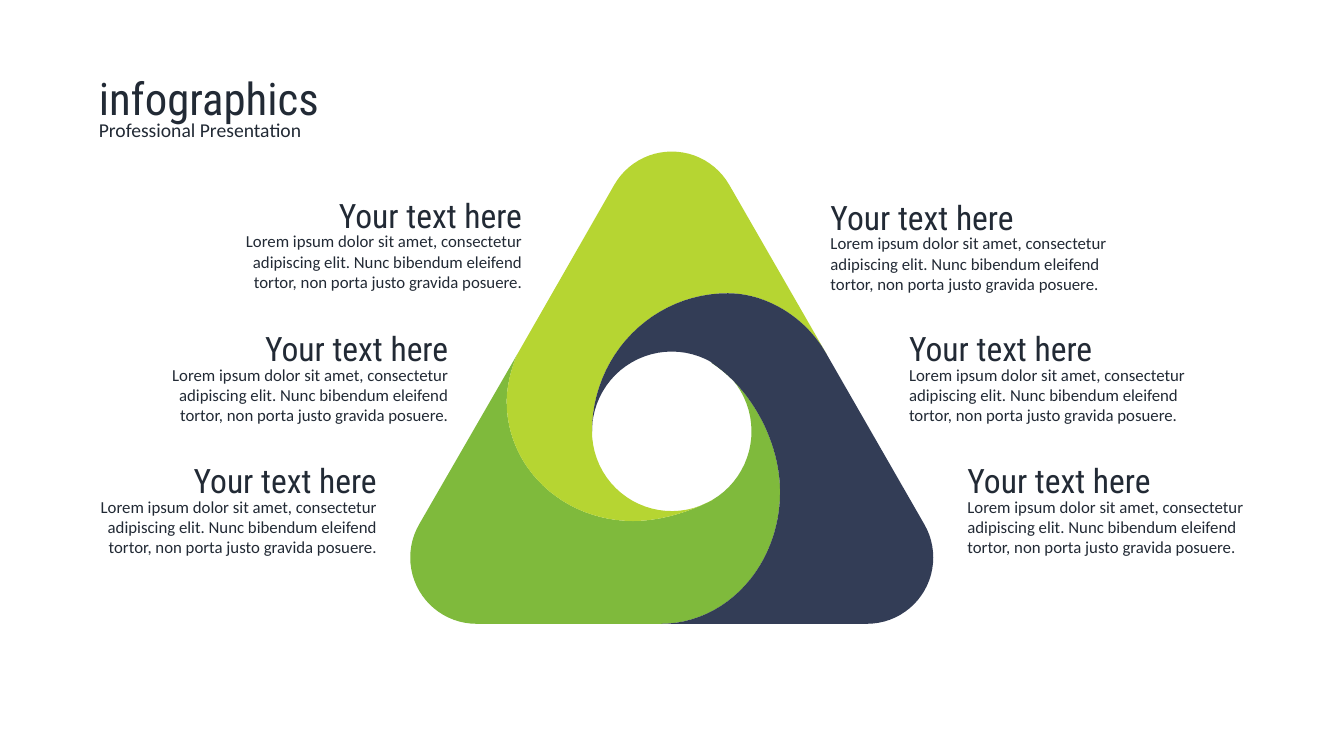
from math import cos, radians, sin
from pptx import Presentation
from pptx.dml.color import RGBColor
from pptx.enum.text import MSO_AUTO_SIZE, PP_ALIGN
from pptx.util import Cm, Pt

GREEN = RGBColor(0x7F, 0xBA, 0x3C)
LIME = RGBColor(0xB6, 0xD5, 0x32)
NAVY = RGBColor(0x33, 0x3D, 0x56)
INK = RGBColor(0x22, 0x2A, 0x35)
HEAD_FONT = "Roboto Condensed"
BODY_FONT = "Calibri"

TITLE = "infographics"
SUBTITLE = "Professional Presentation"
HEAD = "Your text here"
BODY = ("Lorem ipsum dolor sit amet, consectetur adipiscing elit. "
        "Nunc bibendum eleifend tortor, non porta justo gravida posuere.")
NOTES = {
    PP_ALIGN.RIGHT: [(5.26, 4.78), (3.4, 8.15), (1.6, 11.46)],
    PP_ALIGN.LEFT: [(20.68, 4.83), (22.66, 8.15), (24.13, 11.46)],
}
NOTE_WIDTH = 8.15
BODY_DROP = 0.92

AXIS = 16.93
HALF_BASE = 4.92
TOP_Y, BASE_Y = 5.49, 14.05
CORNER = 1.67
HOLE_Y, HOLE = 10.87, 2.01
STEPS = 24


def arc(x, y, wide, high, start, end):
    turns = [radians(start + (end - start) * i / STEPS) for i in range(STEPS + 1)]
    return [(x + wide * cos(t), y + high * sin(t)) for t in turns]


def corner(x, y, start):
    return arc(x, y, CORNER, CORNER, start, start + 120)


def rim(start, end):
    return arc(AXIS, HOLE_Y, HOLE, HOLE, start, end)


def bend(a, b, c, d):
    def mix(t, axis):
        s = 1 - t
        return (s ** 3 * a[axis] + 3 * s * s * t * b[axis]
                + 3 * s * t * t * c[axis] + t ** 3 * d[axis])
    return [(mix(i / STEPS, 0), mix(i / STEPS, 1)) for i in range(STEPS + 1)]


def make_blades():
    west_seam = (
        bend((13.03, 8.94), (12.87, 9.33), (12.77, 9.75), (12.77, 10.13))
        + arc(15.95, 10.13, 3.18, 3, 180, 90)
        + bend((15.95, 13.13), (16.65, 13.13), (17.38, 12.9), (17.96, 12.6)))
    top_seam = (
        bend((20.83, 8.92), (20.3, 7.98), (19.3, 7.39), (18.34, 7.39))
        + arc(18.34, HOLE_Y, 3.42, 3.48, 270, 180))
    east_seam = (
        bend((17.93, 9.14), (19, 9.85), (19.66, 11.2), (19.66, 12.4))
        + arc(16.66, 12.4, 3, 3.32, 0, 90))

    west = corner(AXIS - HALF_BASE, BASE_Y, 90)
    top = corner(AXIS, TOP_Y, 210)
    east = corner(AXIS + HALF_BASE, BASE_Y, -30)
    return [
        (GREEN, west + west_seam + rim(59, -60) + east_seam),
        (LIME, top + top_seam + rim(180, 59) + west_seam[::-1]),
        (NAVY, east + east_seam[::-1] + rim(-60, -180) + top_seam[::-1]),
    ]


def add_blade(slide, color, points):
    dots = [(Cm(x), Cm(y)) for x, y in points]
    pen = slide.shapes.build_freeform(*dots[0])
    pen.add_line_segments(dots[1:], close=True)
    blade = pen.convert_to_shape()
    blade.shadow.inherit = False
    blade.fill.solid()
    blade.fill.fore_color.rgb = color
    blade.line.fill.background()


def add_text(slide, box, text, font, size, align=PP_ALIGN.LEFT):
    frame = slide.shapes.add_textbox(*map(Cm, box)).text_frame
    frame.word_wrap = True
    frame.auto_size = MSO_AUTO_SIZE.SHAPE_TO_FIT_TEXT
    line = frame.paragraphs[0]
    line.alignment = align
    run = line.add_run()
    run.text = text
    run.font.name = font
    run.font.size = Pt(size)
    run.font.color.rgb = INK


def main():
    deck = Presentation()
    deck.slide_width, deck.slide_height = Cm(33.87), Cm(19.05)
    slide = deck.slides.add_slide(deck.slide_layouts[6])
    for color, points in make_blades():
        add_blade(slide, color, points)
    for align, spots in NOTES.items():
        for x, y in spots:
            add_text(slide, (x, y + BODY_DROP, NOTE_WIDTH, 1.8), BODY, BODY_FONT, 12, align)
            add_text(slide, (x, y, NOTE_WIDTH, 1.27), HEAD, HEAD_FONT, 24, align)
    add_text(slide, (2.24, 1.65, 29.39, 1.63), TITLE, HEAD_FONT, 32)
    add_text(slide, (2.24, 2.84, 29.39, 0.86), SUBTITLE, BODY_FONT, 14)
    deck.save("out.pptx")


if __name__ == "__main__":
    main()
